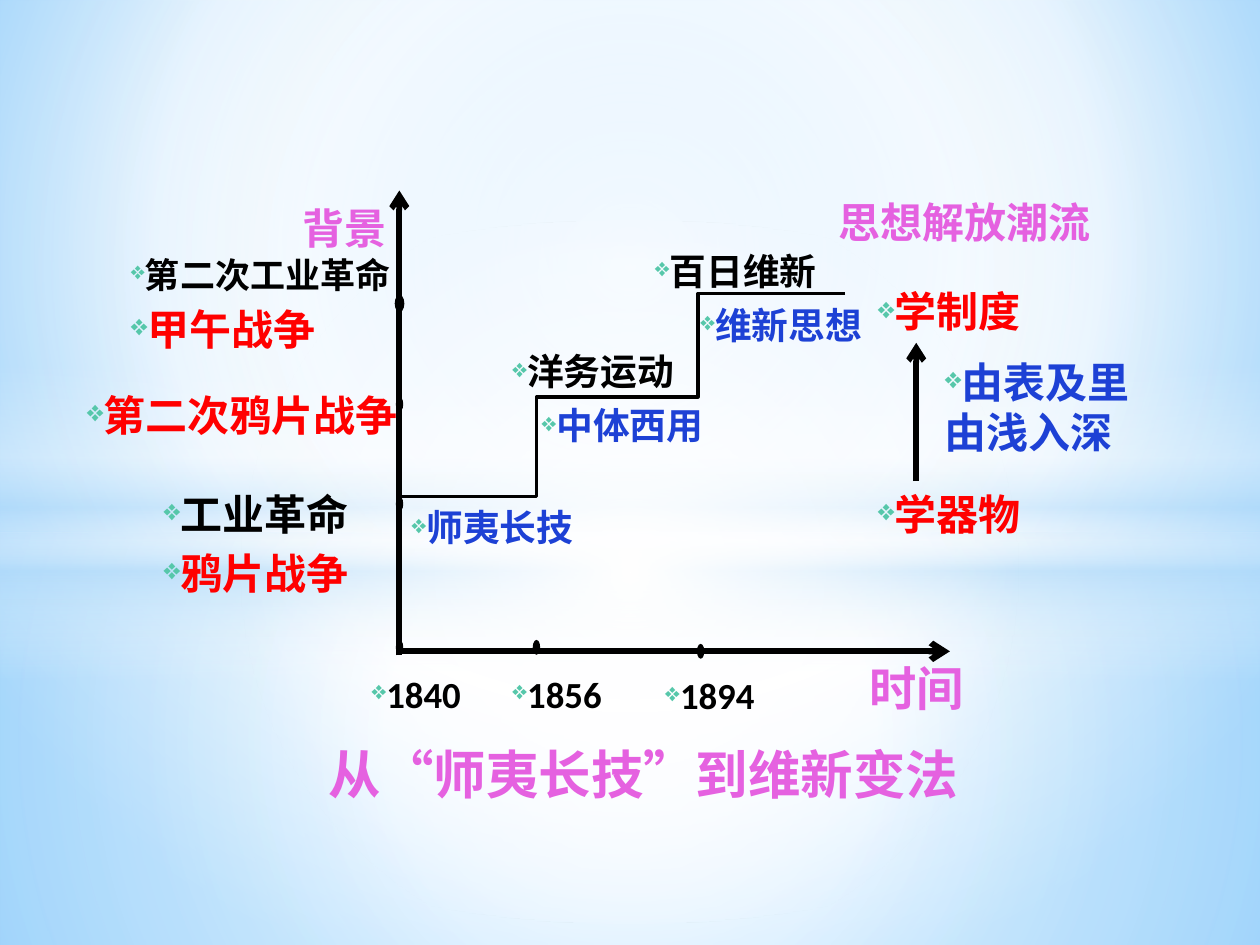
from dataclasses import dataclass

from lxml import etree
from pptx import Presentation
from pptx.dml.color import RGBColor
from pptx.enum.shapes import MSO_CONNECTOR, MSO_SHAPE
from pptx.enum.text import MSO_AUTO_SIZE, PP_ALIGN
from pptx.oxml.ns import qn
from pptx.slide import Slide
from pptx.util import Cm, Pt

RECTANGLE = MSO_SHAPE.RECTANGLE
ELLIPSE = MSO_SHAPE.OVAL
STRAIGHT = MSO_CONNECTOR.STRAIGHT
ELBOW = MSO_CONNECTOR.ELBOW
GROW = MSO_AUTO_SIZE.SHAPE_TO_FIT_TEXT
CENTER = PP_ALIGN.CENTER

BLACK, RED, BLUE, PINK = "000000", "FF0000", "1D41D5", "E561E0"
WHITE, SKY, BULLET = "FFFFFF", "B4DCFA", "56C7AA"
SANS, SANS_JP, LATO, CALIBRI = "Noto Sans CJK SC", "Noto Sans CJK JP", "Lato", "Calibri"
MIDDLE = (50, 50, 50, 50)


@dataclass(frozen=True)
class Stop:
    position: int
    color: str
    opacity: int = 100


@dataclass(frozen=True)
class Glow:
    kind: MSO_SHAPE
    top: float
    height: float
    stops: tuple[Stop, ...]
    center: tuple[int, ...] | None = MIDDLE


@dataclass(frozen=True)
class Line:
    kind: MSO_CONNECTOR
    start: tuple[float, float]
    end: tuple[float, float]
    width: float
    arrow: bool = False


@dataclass(frozen=True)
class Words:
    text: str
    size: int
    color: str
    font: str = SANS


@dataclass(frozen=True)
class Label:
    left: float
    top: float
    width: float
    height: float
    paragraphs: tuple[Words, ...]
    bulleted: bool = True
    wrap: bool = True


BACKGROUND_STOPS = (Stop(0, "9ED5FF"), Stop(60, WHITE), Stop(100, "5BB9FF"))
BACKGROUND_CENTER = (20, 10, 20, 60)
GLOWS = (
    Glow(RECTANGLE, 10.74, 8.31, (Stop(0, WHITE, 91), Stop(37, WHITE, 76), Stop(100, SKY, 79))),
    Glow(RECTANGLE, 0, 10.74, (Stop(0, WHITE, 89), Stop(48, WHITE, 62), Stop(100, SKY, 79))),
    Glow(RECTANGLE, 7.37, 6.35, (
        Stop(0, WHITE, 0), Stop(29, WHITE, 30), Stop(45, SKY, 40),
        Stop(55, WHITE, 26), Stop(65, SKY, 60), Stop(100, WHITE, 0)), None),
    Glow(ELLIPSE, 4.45, 14.17, (Stop(0, WHITE), Stop(54, WHITE, 0))),
)

AXIS_X = 8.05
LINES = (
    Line(STRAIGHT, (AXIS_X, 13.13), (19.15, 13.13), 3.5, True),
    Line(STRAIGHT, (AXIS_X, 13.21), (AXIS_X, 3.84), 3.25, True),
    Line(ELBOW, (13.59, 8), (AXIS_X, 10.01), 2),
    Line(ELBOW, (17.04, 5.92), (11.1, 8), 2),
    Line(STRAIGHT, (18.47, 9.7), (18.47, 6.91), 3.25, True),
)

LABELS = (
    Label(7.24, 13.41, 3.25, 1.14, (Words("1840", 21, BLACK, CALIBRI),)),
    Label(3.05, 9.73, 5.92, 2.51, (Words("工业革命", 24, BLACK), Words("鸦片战争", 24, RED))),
    Label(8.05, 10.06, 4.22, 1.14, (Words("师夷长技", 21, BLUE),)),
    Label(10.08, 13.41, 3.05, 1.14, (Words("1856", 21, BLACK, CALIBRI),)),
    Label(10.08, 6.91, 3.96, 1.14, (Words("洋务运动", 21, BLACK),)),
    Label(10.67, 8, 4.65, 1.14, (Words("中体西用", 21, BLUE),)),
    Label(1.5, 7.72, 7.47, 1.27, (Words("第二次鸦片战争", 24, RED),)),
    Label(13.16, 13.44, 3.89, 1.14, (Words("1894", 21, BLACK, CALIBRI),)),
    Label(13.87, 5.97, 4.93, 1.14, (Words("维新思想", 21, BLUE),)),
    Label(12.95, 4.88, 4.09, 1.14, (Words("百日维新", 21, BLACK),)),
    Label(2.39, 4.98, 7.04, 2.34, (Words("第二次工业革命", 20, BLACK), Words("甲午战争", 24, RED))),
    Label(17.45, 9.73, 4.34, 1.27, (Words("学器物", 24, RED),)),
    Label(17.45, 5.64, 4.8, 1.27, (Words("学制度", 24, RED),)),
    Label(5.56, 14.83, 14.83, 1.52, (Words("从“师夷长技”到维新变法", 30, PINK, SANS_JP),), False),
    Label(5.84, 3.96, 2.21, 1.27, (Words("背景", 24, PINK, LATO),), False, False),
    Label(17.27, 13.16, 2.41, 1.4, (Words("时间", 27, PINK),), False, False),
    Label(16.64, 3.84, 5.61, 1.27, (Words("思想解放潮流", 24, PINK, LATO),), False, False),
    Label(18.8, 7.06, 4.9, 2.31, (Words("由表及里由浅入深", 24, BLUE),)),
)

DOT_X = 7.98
DOTS = ((10.74, 12.9), (14.05, 12.98), (DOT_X, 10.01), (DOT_X, 8), (DOT_X, 12.9))
OUTLINED_DOT = (DOT_X, 5.97)


def paint(color_format, color: str) -> None:
    color_format.rgb = RGBColor.from_string(color)


def add_node(parent, tag: str, **attributes):
    return etree.SubElement(parent, qn(tag), {key: str(value) for key, value in attributes.items()})


def set_gradient(properties, stops: tuple[Stop, ...], center: tuple[int, ...] | None) -> None:
    gradient = etree.Element(qn("a:gradFill"), rotWithShape="1")
    stop_list = add_node(gradient, "a:gsLst")
    for stop in stops:
        stop_node = add_node(stop_list, "a:gs", pos=stop.position * 1000)
        color = add_node(stop_node, "a:srgbClr", val=stop.color)
        if stop.opacity < 100:
            add_node(color, "a:alpha", val=stop.opacity * 1000)
    if center:
        circle = add_node(gradient, "a:path", path="circle")
        sides = {side: value * 1000 for side, value in zip("ltrb", center)}
        add_node(circle, "a:fillToRect", **sides)
    else:
        add_node(gradient, "a:lin", ang=90 * 60000, scaled=0)
    properties.replace(properties.find(qn("a:solidFill")), gradient)


def add_solid(slide: Slide, kind: MSO_SHAPE, left: float, top: float,
              width: float, height: float, color: str):
    shape = slide.shapes.add_shape(kind, Cm(left), Cm(top), Cm(width), Cm(height))
    shape.shadow.inherit = False
    shape.fill.solid()
    paint(shape.fill.fore_color, color)
    shape.line.fill.background()
    return shape


def draw_background(slide: Slide) -> None:
    slide.background.fill.solid()
    properties = slide.element.find(".//" + qn("p:bgPr"))
    set_gradient(properties, BACKGROUND_STOPS, BACKGROUND_CENTER)
    for glow in GLOWS:
        shape = add_solid(slide, glow.kind, 0, glow.top, 25.4, glow.height, WHITE)
        set_gradient(shape.element.spPr, glow.stops, glow.center)


def draw_line(slide: Slide, line: Line) -> None:
    points = [Cm(value) for value in line.start + line.end]
    connector = slide.shapes.add_connector(line.kind, *points)
    connector.line.width = Pt(line.width)
    paint(connector.line.color, BLACK)
    properties = connector.element.spPr
    if line.arrow:
        add_node(properties.find(qn("a:ln")), "a:tailEnd", type="arrow")
    add_node(properties, "a:effectLst")


def add_bullet(paragraph) -> None:
    properties = paragraph._p.get_or_add_pPr()
    add_node(add_node(properties, "a:spcBef"), "a:spcPct", val=20000)
    add_node(add_node(properties, "a:buClr"), "a:srgbClr", val=BULLET)
    add_node(properties, "a:buSzPct", val=70000)
    add_node(properties, "a:buChar", char="❖")


def draw_label(slide: Slide, label: Label) -> None:
    shape = slide.shapes.add_textbox(Cm(label.left), Cm(label.top), Cm(label.width), Cm(label.height))
    frame = shape.text_frame
    frame.word_wrap = label.wrap
    frame.auto_size = GROW
    for index, words in enumerate(label.paragraphs):
        paragraph = frame.add_paragraph() if index else frame.paragraphs[0]
        paragraph.text = words.text
        if label.bulleted:
            add_bullet(paragraph)
        else:
            paragraph.alignment = CENTER
        font = paragraph.font
        font.size = Pt(words.size)
        font.bold = True
        font.name = words.font
        paint(font.color, words.color)
        add_node(paragraph._p.pPr.find(qn("a:defRPr")), "a:ea", typeface=words.font)


def main() -> None:
    presentation = Presentation()
    presentation.slide_width, presentation.slide_height = Cm(25.4), Cm(19.05)
    slide = presentation.slides.add_slide(presentation.slide_layouts[6])
    draw_background(slide)
    for line in LINES:
        draw_line(slide, line)
    for label in LABELS:
        draw_label(slide, label)
    for left, top in DOTS:
        add_solid(slide, ELLIPSE, left, top, 0.15, 0.3, BLACK)
    outlined = add_solid(slide, ELLIPSE, *OUTLINED_DOT, 0.15, 0.3, BLACK)
    paint(outlined.line.color, BLACK)
    outlined.line.width = Pt(1.25)
    presentation.save("out.pptx")


if __name__ == "__main__":
    main()
